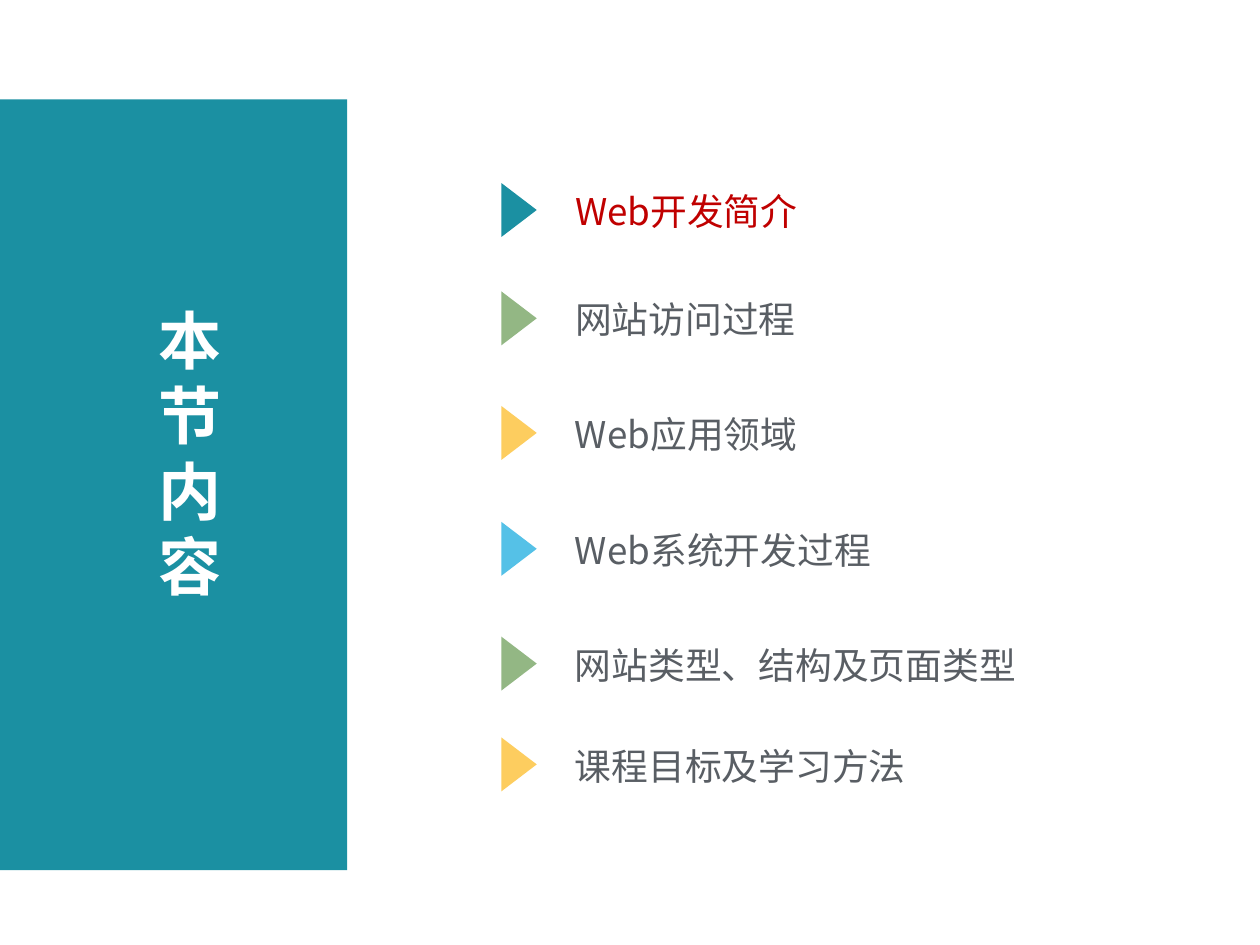
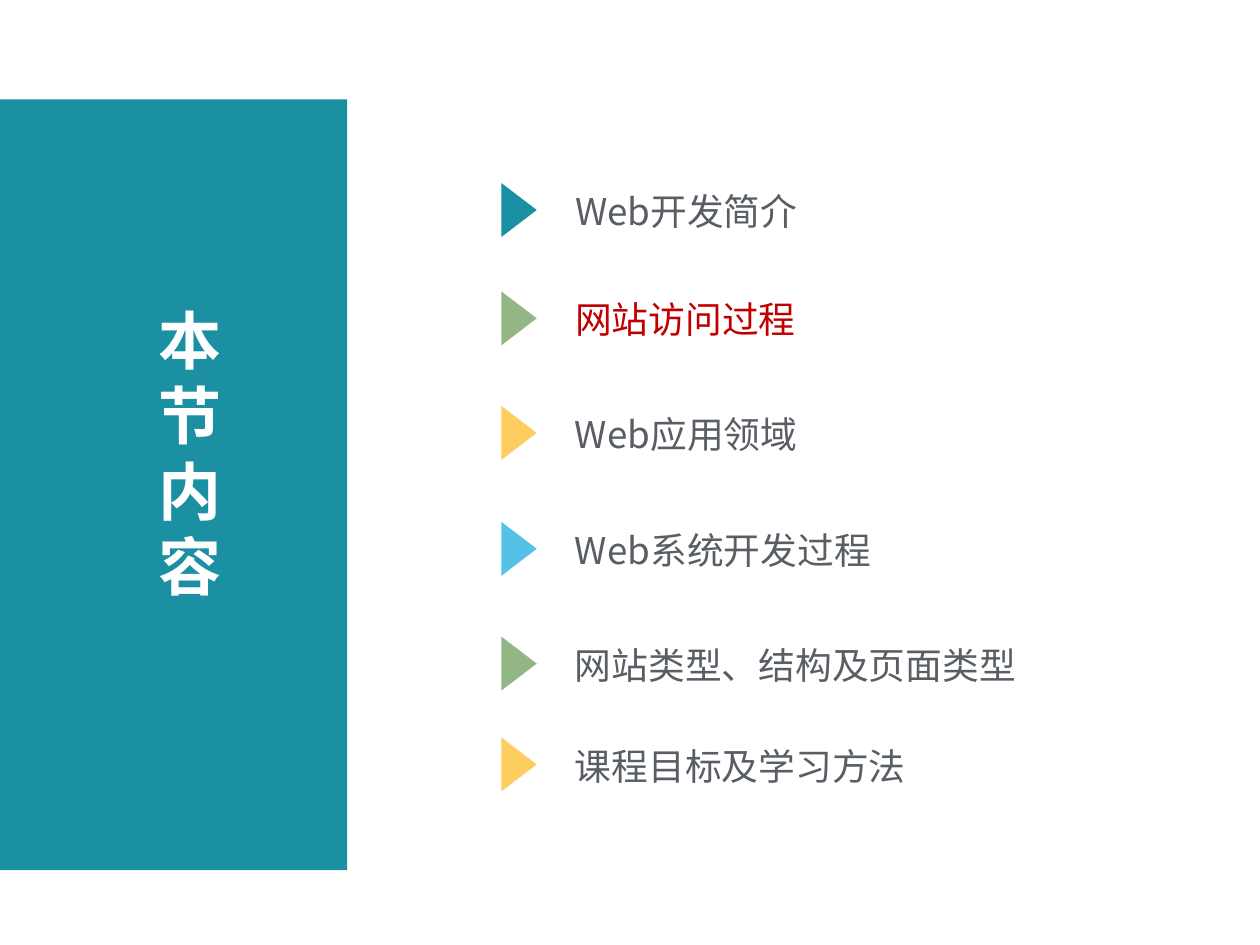
from lxml import etree
from pptx import Presentation
from pptx.dml.color import RGBColor
from pptx.enum.shapes import MSO_SHAPE
from pptx.enum.text import MSO_ANCHOR, MSO_AUTO_SIZE, PP_ALIGN
from pptx.oxml.ns import qn
from pptx.util import Pt

RECTANGLE, TRIANGLE = MSO_SHAPE.RECTANGLE, MSO_SHAPE.ISOSCELES_TRIANGLE
TOP, LEFT, NO_FIT = MSO_ANCHOR.TOP, PP_ALIGN.LEFT, MSO_AUTO_SIZE.NONE

FONT = "Noto Sans CJK SC"
TEAL, GREEN, YELLOW, BLUE = "1B90A2", "93B784", "FDCD5F", "55C1E7"
WHITE, GREY, RED = "FFFFFF", "595E64", "C00000"

TITLE = "本节内容"
# topic, marker colour, text top, text width
TOPICS = [
    ("Web开发简介", TEAL, 104.4, 162),
    ("网站访问过程", GREEN, 166.3, 178.5),
    ("Web应用领域", YELLOW, 231.8, 210),
    ("Web系统开发过程", BLUE, 298, 200),
    ("网站类型、结构及页面类型", GREEN, 363.6, 390),
    ("课程目标及学习方法", YELLOW, 421.2, 210),
]
TEXT_LEFT, TEXT_HEIGHT = 321.5, 32.4
MARKER_LEFT, MARKER_BASE, MARKER_HEIGHT = 281.2, 30.8, 20.2
MARKER_DROP = 5.5


def write(box, text, size, color, bold=False):
    """Fill a box with one left-aligned paragraph."""
    frame = box.text_frame
    frame.word_wrap = True
    frame.auto_size = NO_FIT
    frame.vertical_anchor = TOP
    para = frame.paragraphs[0]
    para.alignment = LEFT
    span = para.add_run()
    span.text = text
    span.font.name = FONT
    span.font.size = Pt(size)
    span.font.bold = bold
    span.font.color.rgb = RGBColor.from_string(color)
    latin = span.font._element.find(qn("a:latin"))
    east_asian = etree.Element(qn("a:ea"), typeface=FONT)
    latin.addnext(east_asian)


def add_filled(page, kind, left, top, width, height, color):
    shape = page.shapes.add_shape(kind, Pt(left), Pt(top), Pt(width), Pt(height))
    shape.shadow.inherit = False
    shape.fill.solid()
    shape.fill.fore_color.rgb = RGBColor.from_string(color)
    shape.line.fill.background()
    return shape


deck = Presentation()
deck.slide_width, deck.slide_height = Pt(720), Pt(540)

for current in range(2):
    page = deck.slides.add_slide(deck.slide_layouts[5])
    title = page.shapes.title
    title.left, title.top, title.width, title.height = Pt(83.5), Pt(168.5), Pt(70.5), Pt(181.5)
    write(title, TITLE, 36, WHITE, bold=True)

    band = add_filled(page, RECTANGLE, 0, 56.8, 198.4, 440.5, TEAL)
    title._element.addprevious(band._element)

    for index, (topic, color, top, width) in enumerate(TOPICS):
        # The marker turns about its centre, so its box is placed unrotated.
        marker = add_filled(page, TRIANGLE, MARKER_LEFT, top + MARKER_DROP,
                            MARKER_BASE, MARKER_HEIGHT, color)
        marker.rotation = 90
        box = page.shapes.add_textbox(Pt(TEXT_LEFT), Pt(top), Pt(width), Pt(TEXT_HEIGHT))
        write(box, topic, 21, RED if index == current else GREY)

deck.save("out.pptx")
